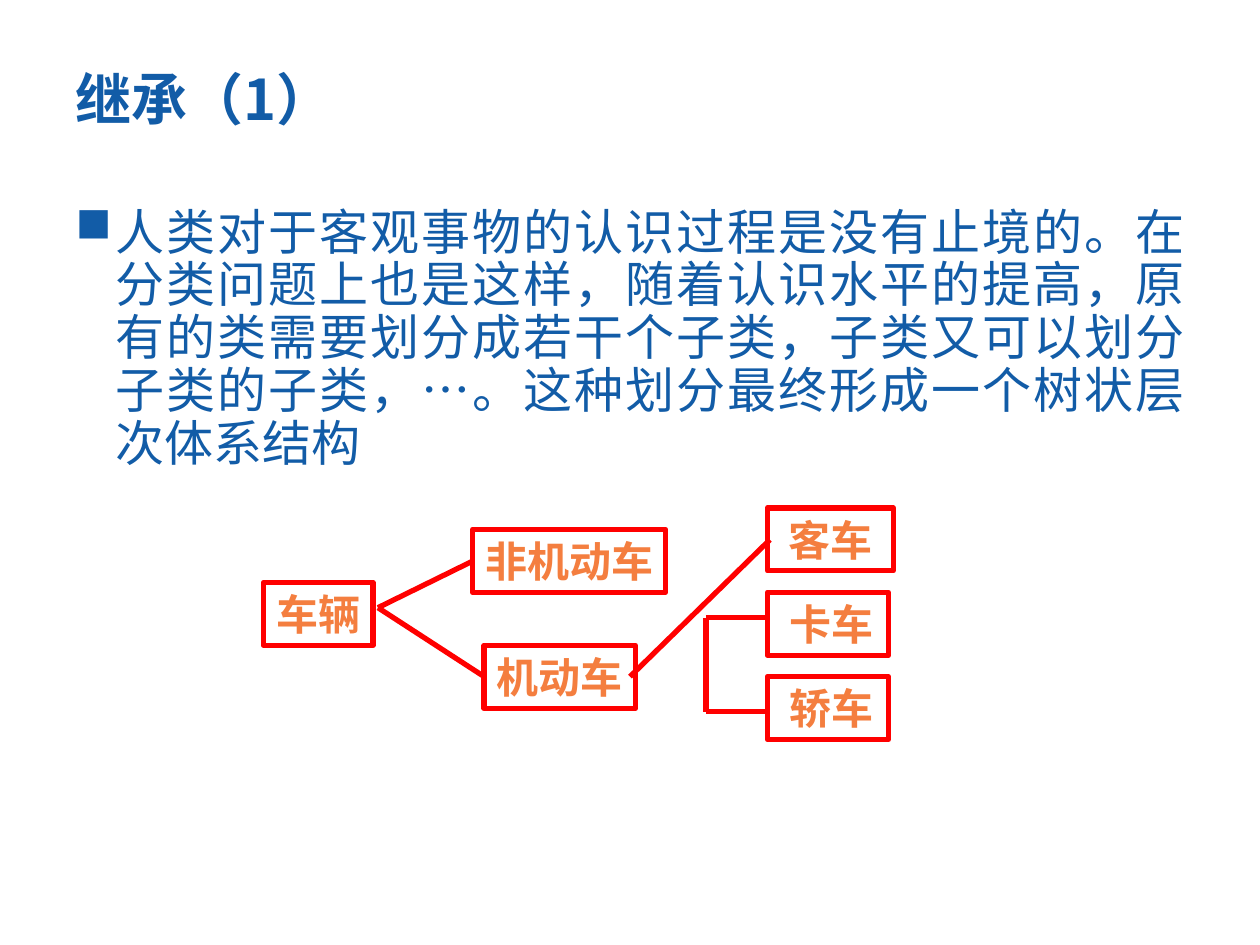
from lxml import etree
from pptx import Presentation
from pptx.dml.color import RGBColor
from pptx.enum.lang import MSO_LANGUAGE_ID
from pptx.enum.shapes import MSO_CONNECTOR, MSO_SHAPE
from pptx.enum.text import MSO_ANCHOR, PP_ALIGN
from pptx.oxml.ns import qn
from pptx.util import Cm, Pt

BLUE = RGBColor(0x12, 0x5C, 0xA7)
ORANGE = RGBColor(0xF4, 0x7E, 0x3F)
RED = RGBColor(0xFF, 0x00, 0x00)
SANS = "Noto Sans CJK SC"
SERIF = "Times New Roman"
CHINESE = MSO_LANGUAGE_ID.SIMPLIFIED_CHINESE
STRAIGHT = MSO_CONNECTOR.STRAIGHT
RECTANGLE = MSO_SHAPE.RECTANGLE
TOP, MIDDLE = MSO_ANCHOR.TOP, MSO_ANCHOR.MIDDLE
LEFT, CENTER, JUSTIFY = PP_ALIGN.LEFT, PP_ALIGN.CENTER, PP_ALIGN.JUSTIFY

LINE_WIDTH = Pt(3)
NODE_HEIGHT = 1.27
LEAF_LEFT, LEAF_STEP = 10.16, 1.7
BRANCHES = [
    ("车辆", 0, 1.5, 2.21),
    ("非机动车", 4.22, 0.43, 3.89),
    ("机动车", 4.45, 2.77, 3.05),
]
LEAVES = [("客车", 2.54, 0), ("卡车", 2.44, 0.13), ("轿车", 2.44, 0.13)]
FORK = (2.31, 2.01)
BRACKET_LEFT, BRACKET_RIGHT = 8.92, 10.19
BRACKET_TOP, BRACKET_BOTTOM = 2.21, 4.11
LINKS = [
    (FORK, (4.22, 1.07)),
    (FORK, (4.45, 3.4)),
    ((7.39, 3.4), (10.21, 0.64)),
    ((BRACKET_LEFT, BRACKET_TOP), (BRACKET_LEFT, BRACKET_BOTTOM)),
    ((BRACKET_LEFT, BRACKET_TOP), (BRACKET_RIGHT, BRACKET_TOP)),
    ((BRACKET_LEFT, BRACKET_BOTTOM), (BRACKET_RIGHT, BRACKET_BOTTOM)),
]
BODY = (
    "人类对于客观事物的认识过程是没有止境的。在分类问题上也是这样，"
    "随着认识水平的提高，原有的类需要划分成若干个子类，子类又可以划分"
    "子类的子类，…。这种划分最终形成一个树状层次体系结构"
)


def write_text(shape, text, size, color, font=SERIF, bold=False, align=LEFT,
               anchor=MIDDLE, line_spacing=None):
    """Write one formatted paragraph into a shape and return the paragraph."""
    frame = shape.text_frame
    frame.word_wrap = True
    frame.vertical_anchor = anchor
    paragraph = frame.paragraphs[0]
    paragraph.alignment = align
    paragraph.line_spacing = line_spacing
    run = paragraph.add_run()
    run.text = text
    run.font.name = font
    run.font.size = Pt(size)
    run.font.bold = bold
    run.font.color.rgb = color
    run.font.language_id = CHINESE
    east_asian = etree.Element(qn("a:ea"), typeface=SANS)
    run.font._element.find(qn("a:latin")).addnext(east_asian)
    return paragraph


def add_bullet(paragraph, symbol, color, indent):
    """Give a paragraph a coloured bullet and a hanging indent."""
    properties = paragraph._p.get_or_add_pPr()
    properties.set("marL", str(indent))
    properties.set("indent", str(-indent))
    bullet_color = etree.SubElement(properties, qn("a:buClr"))
    etree.SubElement(bullet_color, qn("a:srgbClr"), val=str(color))
    etree.SubElement(properties, qn("a:buChar"), char=symbol)


def place_title(slide, left, top, width, height):
    """Move the title placeholder into its box and fill it."""
    title = slide.shapes.title
    title.left, title.top = Cm(left), Cm(top)
    title.width, title.height = Cm(width), Cm(height)
    write_text(title, "继承（1）", 32, BLUE, font=SANS, bold=True,
               line_spacing=0.9)


def add_body(slide, left, top, width, height):
    """Add the bulleted explanation."""
    box = slide.shapes.add_textbox(Cm(left), Cm(top), Cm(width), Cm(height))
    paragraph = write_text(box, BODY, 28, BLUE, align=JUSTIFY, anchor=TOP,
                           line_spacing=Pt(30.15))
    add_bullet(paragraph, "■", BLUE, Cm(0.81))


def add_node(slide, text, left, top, width, inset=0):
    """Add one outlined class box of the tree."""
    node = slide.shapes.add_shape(RECTANGLE, Cm(left), Cm(top), Cm(width),
                                  Cm(NODE_HEIGHT))
    node.shadow.inherit = False
    node.fill.background()
    node.line.color.rgb = RED
    node.line.width = LINE_WIDTH
    frame = node.text_frame
    frame.margin_left = Cm(inset)
    frame.margin_right = frame.margin_top = frame.margin_bottom = 0
    write_text(node, text, 24, ORANGE, bold=True, align=CENTER)


def add_link(slide, start, end):
    """Add one straight line of the tree."""
    link = slide.shapes.add_connector(STRAIGHT, *map(Cm, start + end))
    link.line.color.rgb = RED
    link.line.width = LINE_WIDTH
    etree.SubElement(link._element.spPr, qn("a:effectLst"))


def add_tree(slide, left, top):
    """Add the vehicle class tree with its top left corner at the given point."""
    for text, x, y, width in BRANCHES:
        add_node(slide, text, left + x, top + y, width)
    for row, (text, width, inset) in enumerate(LEAVES):
        add_node(slide, text, left + LEAF_LEFT, top + row * LEAF_STEP, width,
                 inset)
    for start, end in LINKS:
        add_link(slide, (left + start[0], top + start[1]),
                 (left + end[0], top + end[1]))


def main():
    """Build and save the presentation."""
    presentation = Presentation()
    presentation.slide_width, presentation.slide_height = Cm(25.4), Cm(19.05)
    slide = presentation.slides.add_slide(presentation.slide_layouts[5])
    place_title(slide, 1.27, 0.76, 22.86, 2.62)
    add_body(slide, 1.27, 4.05, 22.86, 5.72)
    add_tree(slide, 5.31, 10.24)
    presentation.save("out.pptx")


if __name__ == "__main__":
    main()
